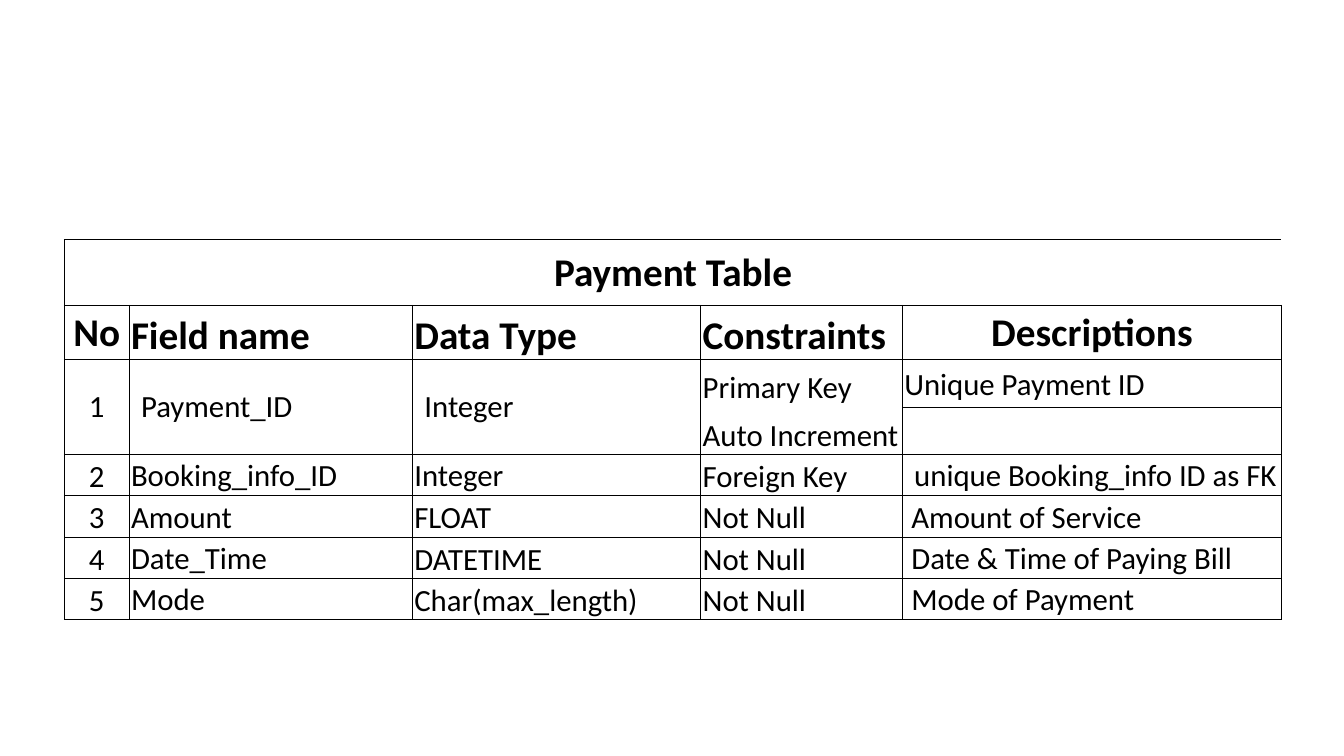
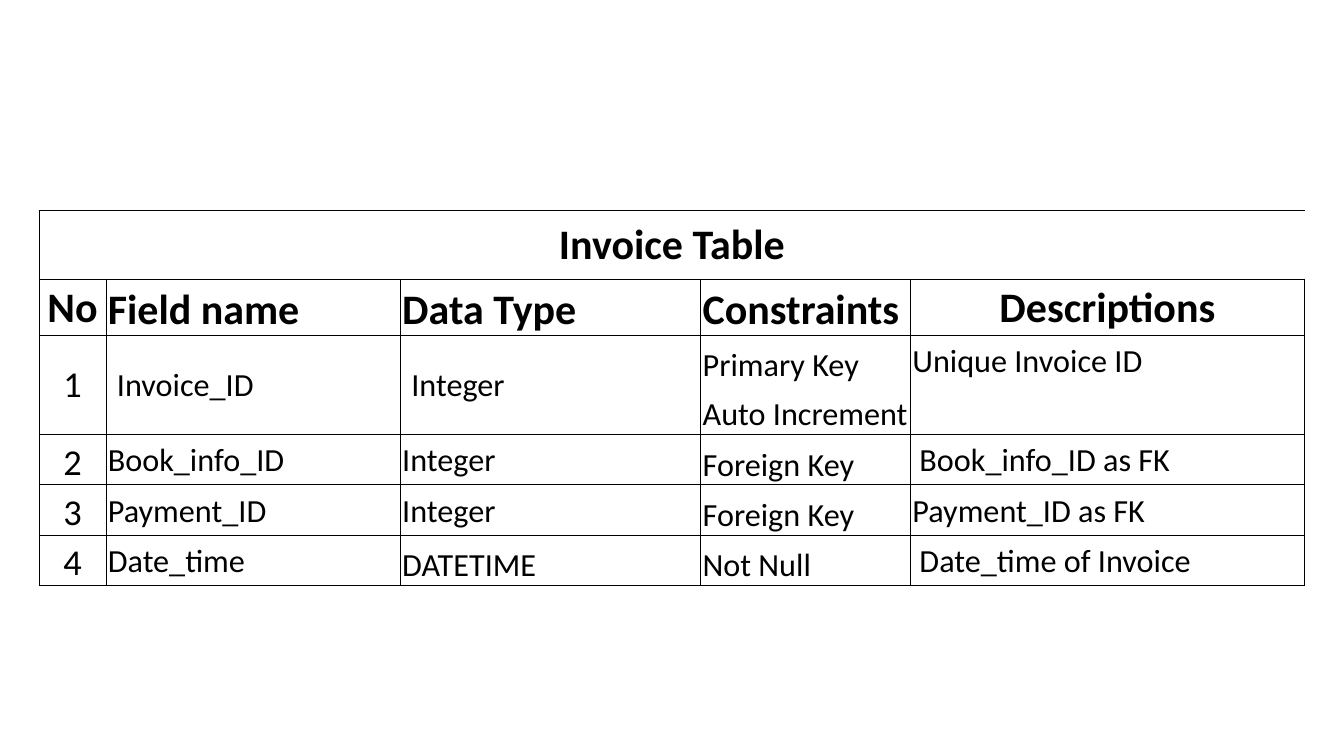
from dataclasses import dataclass
from lxml.etree import SubElement
from pptx import Presentation
from pptx.dml.color import RGBColor
from pptx.enum.text import MSO_ANCHOR as ANCHOR, PP_ALIGN as ALIGN
from pptx.oxml.ns import qn
from pptx.util import Inches, Pt


@dataclass(frozen=True)
class Theme:
    font: str = "Calibri"
    ink: str = "000000"
    thin: float = 0.5
    thick: float = 1
    inset: float = 0.02
    indent: float = 0.09
    inset_y: float = 0.06


THEME = Theme()
HEADERS = ["No", "Field name", "Data Type", "Constraints", "Descriptions"]

TABLES = [
    dict(
        title="Payment Table", left=0.64, top=2.38,
        cols=[0.64, 2.81, 2.86, 2, 3.76],
        heights=[0.65, 0.54, 0.47, 0.47, 0.41, 0.41, 0.41, 0.41],
        head_size=28, number_size=22, body_size=22, wide_inset=0.12,
        flush_rows={2}, centred_rows={4},
        thick_rules={(r, 2) for r in (2, 3, 4)}, key_divider=True,
        rows=[
            ["1", "Payment_ID", "Integer", "Primary Key", "Unique Payment ID"],
            ["", "", "", "Auto Increment", ""],
            ["2", "Booking_info_ID", "Integer", "Foreign Key", "unique Booking_info ID as FK"],
            ["3", "Amount", "FLOAT", "Not Null", "Amount of Service"],
            ["4", "Date_Time", "DATETIME", "Not Null", "Date & Time of Paying Bill"],
            ["5", "Mode", "Char(max_length)", "Not Null", "Mode of Payment"],
        ],
    ),
    dict(
        title="Invoice Table", left=0.39, top=2.09,
        cols=[0.66, 2.92, 2.98, 2.08, 3.91],
        heights=[0.68, 0.56, 0.49, 0.49, 0.5, 0.5, 0.5],
        head_size=30, number_size=26, body_size=23, wide_inset=0.11,
        flush_rows={2, 5}, centred_rows=set(),
        thick_rules={(r, 4) for r in (2, 3)}, key_divider=False,
        rows=[
            ["1", "Invoice_ID", "Integer", "Primary Key", "Unique Invoice ID"],
            ["", "", "", "Auto Increment", ""],
            ["2", "Book_info_ID", "Integer", "Foreign Key", "Book_info_ID as FK"],
            ["3", "Payment_ID", "Integer", "Foreign Key", "Payment_ID as FK"],
            ["4", "Date_time", "DATETIME", "Not Null", "Date_time of Invoice"],
        ],
    ),
]


def write(cell, text, size, bold=False, align=ALIGN.LEFT, anchor=ANCHOR.MIDDLE,
          left=THEME.inset, right=THEME.inset, top=THEME.inset, bottom=0):
    cell.margin_left, cell.margin_right = Inches(left), Inches(right)
    cell.margin_top, cell.margin_bottom = Inches(top), Inches(bottom)
    cell.vertical_anchor = anchor
    p = cell.text_frame.paragraphs[0]
    p.alignment = align
    if text:
        r = p.add_run()
        r.text = text
        r.font.name, r.font.size, r.font.bold = THEME.font, Pt(size), bold
        r.font.color.rgb = RGBColor.from_string(THEME.ink)


def set_borders(cell, **widths):
    tc_pr = cell._tc.get_or_add_tcPr()
    for side in "LRTB":
        width = widths[side]
        ln = SubElement(tc_pr, qn(f"a:ln{side}"), w=str(Pt(width)))
        if width:
            fill = SubElement(ln, qn("a:solidFill"))
            SubElement(fill, qn("a:srgbClr"), val=THEME.ink)
        else:
            SubElement(ln, qn("a:noFill"))
    cell.fill.background()


prs = Presentation()
prs.slide_width, prs.slide_height = Inches(13.33), Inches(7.5)

for t in TABLES:
    s = prs.slides.add_slide(prs.slide_layouts[6])
    grid = [[t["title"], "", "", "", ""], HEADERS] + t["rows"]
    last = len(HEADERS) - 1
    frame = s.shapes.add_table(
        len(grid), len(HEADERS), Inches(t["left"]), Inches(t["top"]),
        Inches(sum(t["cols"])), Inches(sum(t["heights"])))
    tbl = frame.table
    tbl.first_row = tbl.horz_banding = False
    for col, width in zip(tbl.columns, t["cols"]):
        col.width = Inches(width)
    for row, height in zip(tbl.rows, t["heights"]):
        row.height = Inches(height)

    tbl.cell(0, 0).merge(tbl.cell(0, last))
    for c in range(3):
        tbl.cell(2, c).merge(tbl.cell(3, c))

    wide = dict(left=t["wide_inset"], right=t["wide_inset"],
                top=THEME.inset_y, bottom=THEME.inset_y)
    for r, texts in enumerate(grid):
        for c, text in enumerate(texts):
            cell = tbl.cell(r, c)
            header = r < 2
            size = t["head_size"] if header else t["number_size" if c == 0 else "body_size"]
            fmt = dict(bold=header)
            if c == 0 or (r == 1 and c == last) or (c == last and r in t["centred_rows"]):
                fmt["align"] = ALIGN.CENTER
            if (r == 1 and 0 < c < last) or c == 3 or (r > 3 and c in (0, 2) and text != "Integer"):
                fmt["anchor"] = ANCHOR.BOTTOM
            if c == last and r > 1 and r not in t["flush_rows"]:
                fmt["left"] = THEME.indent
            if cell.is_merge_origin:
                fmt.update(wide)
            write(cell, text, size, **fmt)

            rules = []
            for edge in (c, c + 1):
                outer = edge in (0, last + 1) or (r, edge) in t["thick_rules"]
                inside_title = r == 0 and 0 < edge <= last
                rules.append(0 if inside_title else THEME.thick if outer else THEME.thin)
            divider = THEME.thin if c == last and t["key_divider"] else 0
            set_borders(cell, L=rules[0], R=rules[1],
                        T=divider if r == 3 else THEME.thick,
                        B=divider if r == 2 else THEME.thick)

prs.save("out.pptx")
